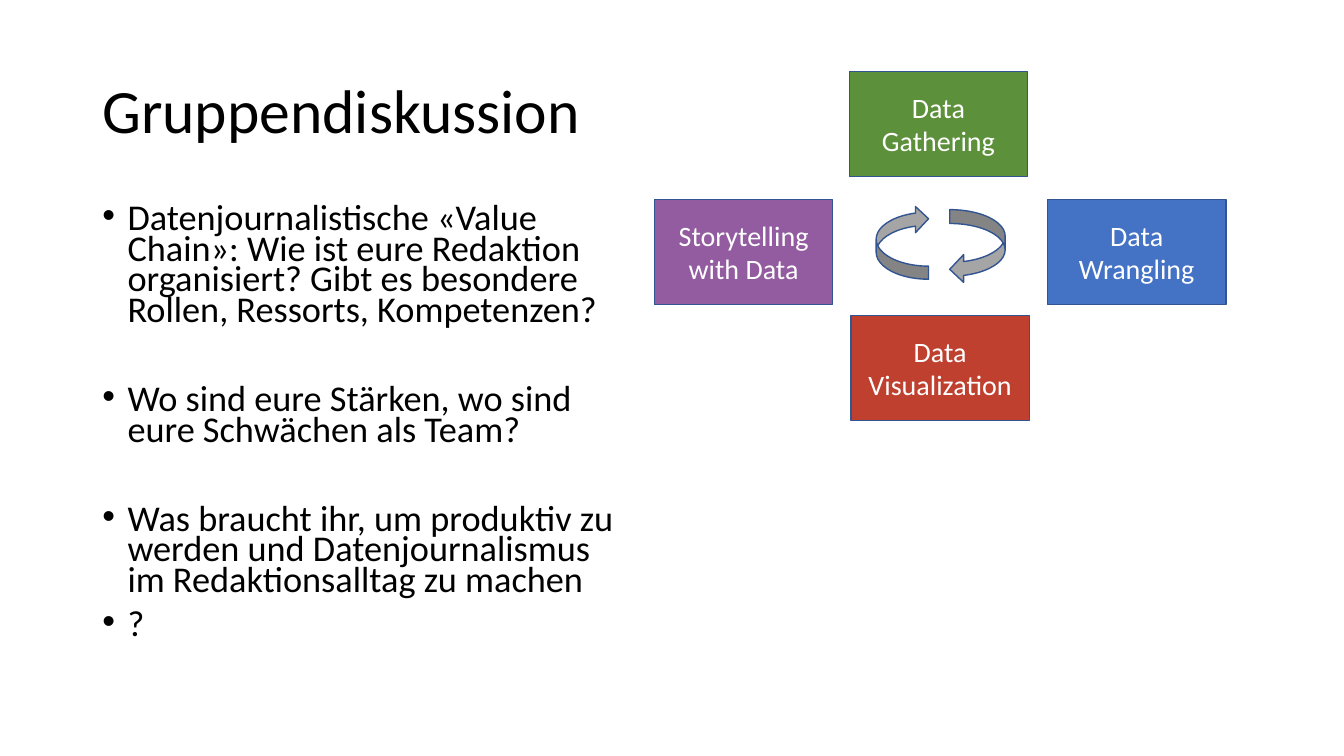
from dataclasses import dataclass

from lxml.etree import SubElement
from pptx import Presentation
from pptx.dml.color import RGBColor
from pptx.enum.shapes import MSO_SHAPE
from pptx.enum.text import MSO_ANCHOR, PP_ALIGN
from pptx.oxml.ns import qn
from pptx.util import Inches, Pt

WIDTH, HEIGHT = Inches(13.33), Inches(7.5)
COLS, ROWS = 80, 45


@dataclass(frozen=True)
class Theme:
    font: str = "Calibri"
    ink: str = "000000"
    light: str = "FFFFFF"
    edge: str = "325491"
    green: str = "5D903B"
    blue: str = "4472C4"
    red: str = "C04030"
    purple: str = "935CA0"
    gray: str = "A5A5A5"
    title: float = 44
    body: float = 25.9
    label: float = 20


THEME = Theme()


def cells(col, row, wide, high):
    return (round(col * WIDTH / COLS), round(row * HEIGHT / ROWS),
            round(wide * WIDTH / COLS), round(high * HEIGHT / ROWS))


def write(para, text, size, color=THEME.ink, align=PP_ALIGN.LEFT, line=1.0, before=0):
    para.alignment = align
    para.line_spacing = line
    para.space_before = Pt(before)
    run = para.add_run()
    run.text = text
    run.font.name = THEME.font
    run.font.size = Pt(size)
    run.font.color.rgb = RGBColor.from_string(color)


def bullet(para):
    props = para._p.get_or_add_pPr()
    props.set("marL", str(Inches(0.25)))
    props.set("indent", str(-Inches(0.25)))
    SubElement(props, qn("a:buFont"), typeface="Arial")
    SubElement(props, qn("a:buChar"), char="•")


def panel(slide, place, anchor):
    frame = slide.shapes.add_textbox(*cells(*place)).text_frame
    frame.word_wrap = True
    frame.vertical_anchor = anchor
    return frame


def title(slide, text, place):
    frame = panel(slide, place, MSO_ANCHOR.MIDDLE)
    write(frame.paragraphs[0], text, THEME.title, line=0.9)


def points(slide, items, place):
    frame = panel(slide, place, MSO_ANCHOR.TOP)
    for num, (text, before) in enumerate(items):
        para = frame.add_paragraph() if num else frame.paragraphs[0]
        write(para, text, THEME.body, line=0.7, before=before)
        bullet(para)


def figure(slide, kind, place, color):
    shape = slide.shapes.add_shape(kind, *cells(*place))
    shape.shadow.inherit = False
    shape.fill.solid()
    shape.fill.fore_color.rgb = RGBColor.from_string(color)
    shape.line.color.rgb = RGBColor.from_string(THEME.edge)
    shape.line.width = Pt(1)
    return shape


def step(slide, text, place, color):
    frame = figure(slide, MSO_SHAPE.RECTANGLE, place, color).text_frame
    frame.word_wrap = True
    frame.vertical_anchor = MSO_ANCHOR.MIDDLE
    write(frame.paragraphs[0], text, THEME.label, THEME.light, PP_ALIGN.CENTER)


def arrow(slide, place, turn=0):
    figure(slide, MSO_SHAPE.CURVED_LEFT_ARROW, place, THEME.gray).rotation = turn


def main():
    deck = Presentation()
    deck.slide_width, deck.slide_height = WIDTH, HEIGHT
    slide = deck.slides.add_slide(deck.slide_layouts[6])

    title(slide, "Gruppendiskussion", (5.5, 2.4, 69, 8.7))
    points(slide, [
        ("Datenjournalistische «Value Chain»: Wie ist eure Redaktion organisiert? "
         "Gibt es besondere Rollen, Ressorts, Kompetenzen?", 10),
        ("Wo sind eure Stärken, wo sind eure Schwächen als Team?", 42),
        ("Was braucht ihr, um produktiv zu werden und Datenjournalismus "
         "im Redaktionsalltag zu machen", 42),
        ("?", 10),
    ], (5.5, 12, 32.1, 28.56))

    wide, high = 10.62, 6.24
    left, mid, gap = 38.95, 11.88, 11.7
    for text, col, row, color in (
        ("Data Wrangling", left + 2 * gap, mid, THEME.blue),
        ("Data Visualization", left + gap, 18.78, THEME.red),
        ("Storytelling with Data", left, mid, THEME.purple),
        ("Data Gathering", left + gap - 0.1, 4.26, THEME.green),
    ):
        step(slide, text, (col, row, wide, high), color)

    arrow(slide, (56.53, 12.48, 3.3, 4.38))
    arrow(slide, (52.15, 12.24, 3.12, 4.38), turn=180)
    deck.save("out.pptx")


if __name__ == "__main__":
    main()
